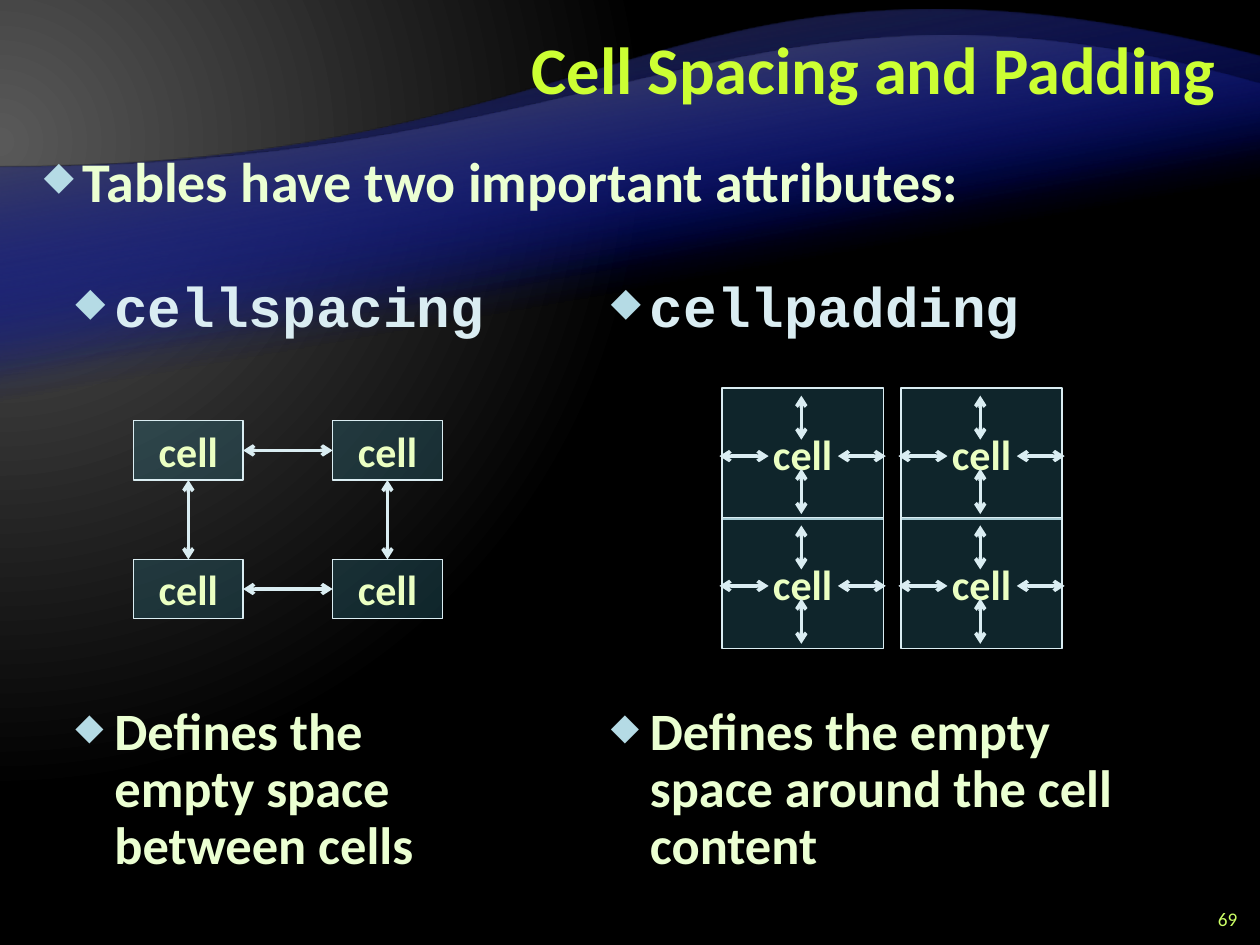
from dataclasses import dataclass

import pptx
import pptx.dml.color
import pptx.enum.shapes
import pptx.enum.text
import pptx.oxml
import pptx.oxml.ns
import pptx.util
from lxml import etree

Inches = pptx.util.Inches
Pt = pptx.util.Pt
qn = pptx.oxml.ns.qn
Align = pptx.enum.text.PP_ALIGN
Anchor = pptx.enum.text.MSO_ANCHOR

PALE_BLUE = "DAEDF2"
PALE_GREEN = "EBFFD2"
SLIDE_WIDTH = 10


@dataclass
class Wave:
    """A band from a curved top edge down to a straight bottom edge."""
    left_y: float
    right_y: float
    bottom: float
    controls: tuple
    color: str


@dataclass
class Column:
    left: float
    width: float
    attribute: str
    meaning: str


@dataclass
class CellGrid:
    lefts: tuple
    tops: tuple
    width: float
    height: float
    padding: tuple = (0.1, 0.05)


WAVES = (
    Wave(1.33, 0.45, 6.53, ((5, 1.33), (5.34, -0.75)), "262626"),
    Wave(1.33, 0.67, 5.57, ((5, 1.33), (5.98, -0.49)), "595959"),
)
COLUMNS = (
    Column(0.5, 3.67, "cellspacing", "Defines the empty space between cells"),
    Column(4.75, 4.67, "cellpadding", "Defines the empty space around the cell content"),
)
SPACED_CELLS = CellGrid((1.06, 2.64), (3.34, 4.44), 0.87, 0.47)
PADDED_CELLS = CellGrid((5.73, 7.15), (3.08, 4.11), 1.28, 1.04, (0.39, 0.31))
# Arrow start and end, measured from the top left corner of a padded cell
PADDING_ARROWS = (
    (0.63, 0.06, 0.63, 0.41),
    (0.63, 0.64, 0.63, 1.0),
    (-0.02, 0.54, 0.37, 0.54),
    (0.92, 0.54, 1.3, 0.54),
)


def rgb(color: str):
    return pptx.dml.color.RGBColor.from_string(color)


def gradient_fill(stops, direction: str):
    """Return a gradient made of (percent, colour, opacity) stops."""
    stop_xml = "".join(
        f'<a:gs pos="{percent * 1000}"><a:srgbClr val="{color}">'
        f'<a:alpha val="{opacity * 1000}"/></a:srgbClr></a:gs>'
        for percent, color, opacity in stops)
    return pptx.oxml.parse_xml(
        f'<a:gradFill {pptx.oxml.ns.nsdecls("a")} rotWithShape="1">'
        f'<a:gsLst>{stop_xml}</a:gsLst>{direction}</a:gradFill>')


def replace_solid_fill(element, fill) -> None:
    solid = next(element.iter(qn("a:solidFill")))
    solid.getparent().replace(solid, fill)


def paint_background(slide) -> None:
    slide.background.fill.solid()
    direction = ('<a:path path="circle">'
                 '<a:fillToRect l="20000" t="30000" r="135000" b="100000"/></a:path>')
    stops = ((0, "595959", 100), (83, "000000", 100))
    replace_solid_fill(slide._element, gradient_fill(stops, direction))


def add_wave(slide, wave: Wave) -> None:
    """Build the band upside down and turn it, so that its gradient turns too."""
    top = wave.right_y

    def turned(x, y):
        return Inches(SLIDE_WIDTH - x), Inches(top + wave.bottom - y)

    builder = slide.shapes.build_freeform(*turned(SLIDE_WIDTH, wave.bottom))
    builder.add_line_segments([turned(0, wave.bottom), turned(0, wave.left_y),
                               turned(SLIDE_WIDTH, top)])
    shape = builder.convert_to_shape()
    shape.shadow.inherit = False
    shape.line.fill.background()

    edge = list(shape._element.iter(qn("a:lnTo")))[2]
    edge.tag = qn("a:cubicBezTo")
    for index, control in enumerate(wave.controls):
        x, y = turned(*control)
        point = etree.Element(qn("a:pt"), x=str(int(x)), y=str(int(y - Inches(top))))
        edge.insert(index, point)

    shape.fill.solid()
    stops = ((65, "000D9E", 0), (100, wave.color, 100))
    replace_solid_fill(shape._element,
                       gradient_fill(stops, '<a:lin ang="4800000" scaled="0"/>'))
    shape.rotation = 180


def add_bullet(paragraph) -> None:
    properties = paragraph._p.get_or_add_pPr()
    properties.set("marL", str(Inches(0.31)))
    properties.set("indent", str(-Inches(0.31)))
    color = etree.SubElement(properties, qn("a:buClr"))
    etree.SubElement(color, qn("a:srgbClr"), val="B5DBE5")
    etree.SubElement(properties, qn("a:buSzPct"), val="70000")
    etree.SubElement(properties, qn("a:buChar"), char="◆")


def write_text(shape, text: str, *, size: float, color: str, font="Calibri", bold=True,
               align=Align.LEFT, anchor=Anchor.TOP, line_spacing=None, bullet=False,
               wrap=True, margins=(0.1, 0.05)) -> None:
    frame = shape.text_frame
    frame.word_wrap = wrap
    frame.vertical_anchor = anchor
    frame.margin_left = frame.margin_right = Inches(margins[0])
    frame.margin_top = frame.margin_bottom = Inches(margins[1])
    paragraph = frame.paragraphs[0]
    if bullet:
        add_bullet(paragraph)
    paragraph.alignment = align
    paragraph.line_spacing = line_spacing
    run = paragraph.add_run()
    run.text = text
    run.font.size = Pt(size)
    run.font.name = font
    run.font.bold = bold
    run.font.color.rgb = rgb(color)


def add_text(slide, left, top, width, height, text: str, **text_format) -> None:
    box = slide.shapes.add_textbox(Inches(left), Inches(top), Inches(width), Inches(height))
    write_text(box, text, **text_format)


def add_cell(slide, left: float, top: float, grid: CellGrid):
    cell = slide.shapes.add_shape(
        pptx.enum.shapes.MSO_SHAPE.RECTANGLE,
        Inches(left), Inches(top), Inches(grid.width), Inches(grid.height))
    cell.shadow.inherit = False
    cell.fill.solid()
    cell.fill.fore_color.rgb = rgb("337D8F")
    fill_color = next(cell._element.spPr.iter(qn("a:srgbClr")))
    etree.SubElement(fill_color, qn("a:alpha"), val="30000")
    cell.line.color.rgb = rgb(PALE_BLUE)
    cell.line.width = Pt(0.75)
    write_text(cell, "cell", size=24, color="EBFFC2", align=Align.CENTER,
               anchor=Anchor.MIDDLE, wrap=False, margins=grid.padding)
    return cell


def add_double_arrow(slide, x1=0.0, y1=0.0, x2=0.0, y2=0.0):
    arrow = slide.shapes.add_connector(
        pptx.enum.shapes.MSO_CONNECTOR.STRAIGHT, Inches(x1), Inches(y1), Inches(x2), Inches(y2))
    arrow.line.color.rgb = rgb(PALE_BLUE)
    arrow.line.width = Pt(2)
    for end in ("a:headEnd", "a:tailEnd"):
        etree.SubElement(arrow.line._get_or_add_ln(), qn(end), type="arrow")
    etree.SubElement(arrow._element.spPr, qn("a:effectLst"))
    return arrow


def add_spaced_cells(slide) -> None:
    grid = SPACED_CELLS
    top_left, top_right, bottom_left, bottom_right = (
        add_cell(slide, left, top, grid) for top in grid.tops for left in grid.lefts)
    for first, first_side, second, second_side in (
            (top_left, 3, top_right, 1), (bottom_left, 3, bottom_right, 1),
            (top_left, 2, bottom_left, 0), (top_right, 2, bottom_right, 0)):
        arrow = add_double_arrow(slide)
        arrow.begin_connect(first, first_side)
        arrow.end_connect(second, second_side)


def add_padded_cells(slide) -> None:
    for left in PADDED_CELLS.lefts:
        for top in PADDED_CELLS.tops:
            add_cell(slide, left, top, PADDED_CELLS)
            for x1, y1, x2, y2 in PADDING_ARROWS:
                add_double_arrow(slide, left + x1, top + y1, left + x2, top + y2)


def main() -> None:
    presentation = pptx.Presentation()
    presentation.slide_width = Inches(SLIDE_WIDTH)
    presentation.slide_height = Inches(7.5)
    slide = presentation.slides.add_slide(presentation.slide_layouts[6])
    paint_background(slide)
    for wave in WAVES * 2:
        add_wave(slide, wave)

    add_text(slide, 2, 0.08, 7.75, 1, "Cell Spacing and Padding", size=38, color="CCFF33",
             align=Align.RIGHT, anchor=Anchor.MIDDLE, line_spacing=Pt(40))
    bulleted = dict(bullet=True, line_spacing=0.9)
    add_text(slide, 0.25, 1.17, 9.5, 0.58, "Tables have two important attributes:",
             size=32, color=PALE_GREEN, **bulleted)
    for column in COLUMNS:
        add_text(slide, column.left, 2.17, column.width, 0.6, column.attribute,
                 size=32, color=PALE_BLUE, font="Courier New", **bulleted)
        add_text(slide, column.left, 5.55, column.width, 1.45, column.meaning,
                 size=30, color=PALE_GREEN, **bulleted)
    add_text(slide, 9.42, 7.17, 0.5, 0.25, "69", size=11, color="CCFF66", bold=False,
             align=Align.RIGHT, anchor=Anchor.MIDDLE)

    add_spaced_cells(slide)
    add_padded_cells(slide)
    presentation.save("out.pptx")


if __name__ == "__main__":
    main()
